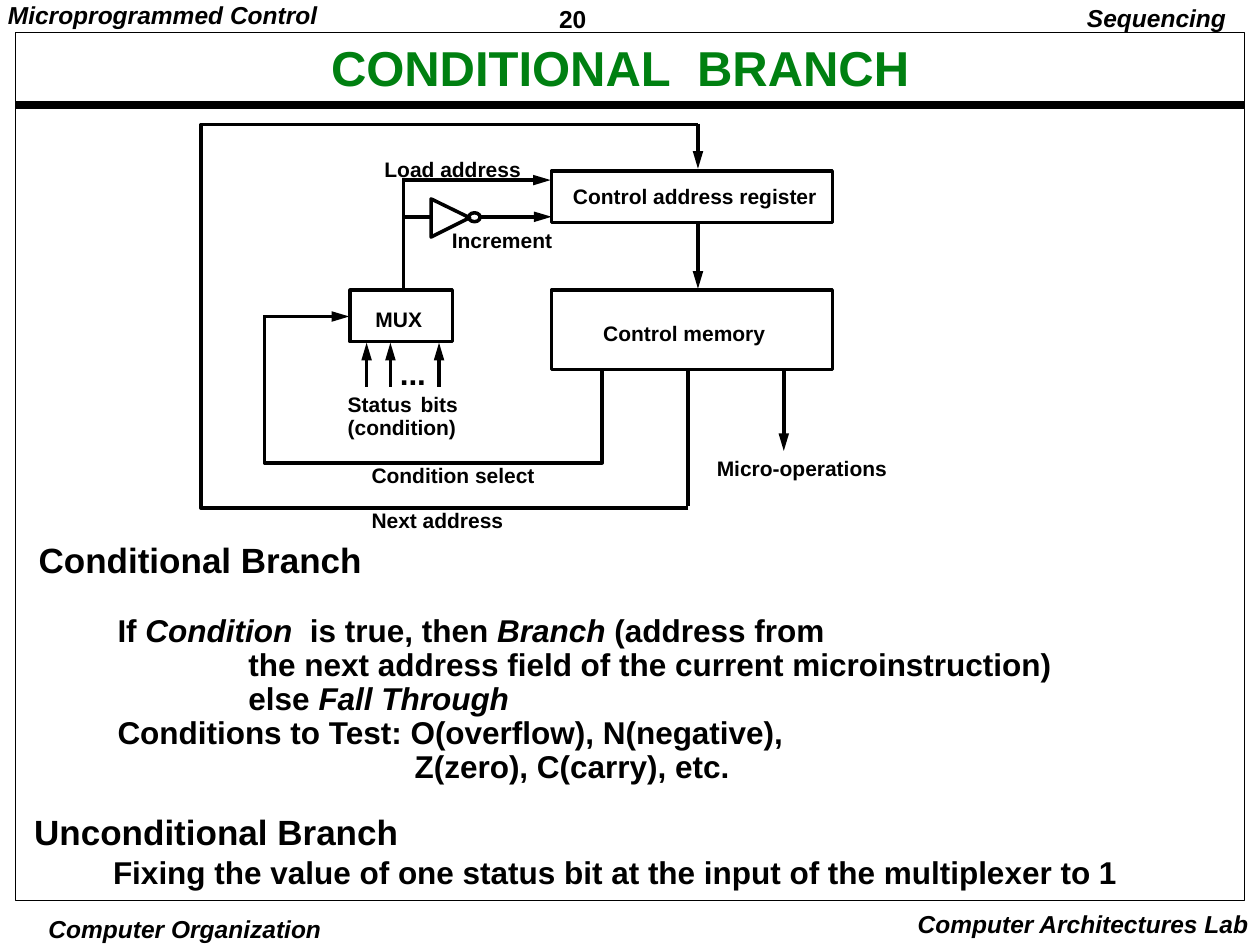
from dataclasses import dataclass

from lxml import etree
from pptx import Presentation
from pptx import util as u
from pptx.dml.color import RGBColor
from pptx.enum import shapes, text
from pptx.oxml.ns import qn


@dataclass(frozen=True)
class Theme:
    font: str = "Arial"
    ink: RGBColor = RGBColor(0, 0, 0)
    title_ink: RGBColor = RGBColor(0x00, 0x80, 0x11)
    title: int = 28
    heading: int = 20
    body: int = 18
    margin: int = 14
    label: int = 12
    wire: float = 2
    frame: float = 0.5
    rule: float = 4.5


@dataclass(frozen=True)
class Span:
    words: str
    italic: bool = False


@dataclass(frozen=True)
class Line:
    spans: tuple[Span, ...]
    size: float
    indent: float = 0
    before: float = 0


@dataclass(frozen=True)
class Block:
    """A text box: place and insets in centimetres, then its lines."""
    place: tuple[float, float, float, float]
    lines: tuple[Line, ...]
    inset: tuple[float, float] = (0.25, 0.13)
    spacing: float = 0.9
    align: text.PP_ALIGN = text.PP_ALIGN.LEFT
    wrap: bool = False


THEME = Theme()
LEFT, CENTER, RIGHT = text.PP_ALIGN.LEFT, text.PP_ALIGN.CENTER, text.PP_ALIGN.RIGHT


def plain(words: str, size: float, indent: float = 0, before: float = 0) -> Line:
    return Line((Span(words),), size, indent, before)


def label(words: str, left: float, top: float, width: float,
          height: float = 0.71, size: float = THEME.label) -> Block:
    lines = tuple(plain(part, size) for part in words.split("\n"))
    return Block((left, top, width, height), lines)


def margin_note(words: str, place: tuple, inset: tuple, spacing: float,
                align: text.PP_ALIGN = LEFT, italic: bool = True) -> Block:
    return Block(place, (Line((Span(words, italic),), THEME.margin),), inset, spacing, align)


MARGIN_NOTES = (
    margin_note("20", (11.09, 0, 2.74, 0.74), (0.18, 0.08), 1.01, italic=False),
    margin_note("Microprogrammed Control", (-0.02, -0.01, 6.6, 0.69), (0.18, 0.08), 0.9),
    margin_note("Computer Organization", (0.91, 18.39, 5.64, 0.66), (0.08, 0.03), 1.0, CENTER),
    margin_note("Computer Architectures Lab", (18.23, 18.2, 7.19, 0.84), (0.25, 0.13), 1.0, RIGHT),
    margin_note("Sequencing", (21.67, 0, 3.3, 0.79), (0.25, 0.13), 0.9, RIGHT),
)

STEP, DEEP, LIST = 1.59, 4.23, 7.58  # indents of the explanation
EXPLANATIONS = (
    Block((0.53, 10.82, 23.14, 5.13), (
        plain("Conditional Branch", THEME.heading),
        Line((Span("If "), Span("Condition", True), Span("  is true, then "),
              Span("Branch ", True), Span("(address from")), THEME.body, STEP, 19.4),
        plain("the next address field of the current microinstruction)", THEME.body, DEEP),
        Line((Span("else "), Span("Fall Through", True)), THEME.body, DEEP),
        plain("Conditions to Test: O(overflow), N(negative),", THEME.body, STEP),
        plain("Z(zero), C(carry), etc.", THEME.body, LIST),
    ), wrap=True),
    Block((0.51, 16.26, 22.8, 1.78), (
        plain("Unconditional Branch", THEME.heading),
        plain("Fixing the value of one status bit at the input of the multiplexer to 1",
              THEME.body, STEP),
    ), (0.18, 0.08), 1.01, wrap=True),
)

LABELS = (
    label("Control address register", 11.3, 3.63, 5.41),
    label("Control memory", 11.91, 6.39, 3.78),
    label("MUX", 7.32, 6.1, 1.45),
    label("Load address", 7.5, 3.08, 3.25),
    label("Increment", 8.86, 4.52, 2.51),
    label("Status\n(condition)", 6.76, 7.82, 2.69, 1.17),
    label("bits", 8.23, 7.82, 1.24),
    label("Micro-operations", 14.2, 9.12, 3.94),
    label("Condition select", 7.24, 9.25, 3.78),
    label("Next address", 7.24, 10.16, 3.18),
    label("...", 7.81, 7.09, 1.04, 0.94, THEME.body),
)

UNITS = (  # address register, control memory, multiplexer
    (11.12, 3.45, 5.66, 1.04),
    (11.12, 5.85, 5.66, 1.6),
    (7.06, 5.85, 2.06, 1.04),
)
ARROWS = (
    (14.07, 4.5, 14.07, 5.82),
    (14.07, 2.49, 14.07, 3.4),
    (8.15, 3.63, 11.1, 3.63),
    (9.65, 4.37, 11.12, 4.37),
    (15.8, 7.44, 15.8, 9.09),
    (5.31, 6.38, 7.04, 6.38),
    *((x, 7.8, x, 6.91) for x in (7.39, 7.87, 8.85)),
)
WIRES = (
    (8.71, 4.37, 8.1, 4.37),
    (8.13, 3.58, 8.13, 5.82),
    (13.87, 7.44, 13.87, 10.21),
)
INVERTER = ((8.69, 4.01), (9.47, 4.39), (8.69, 4.78))
CONDITION_SELECT = ((12.14, 7.47), (12.14, 9.33), (5.33, 9.33), (5.33, 6.38))
NEXT_ADDRESS = ((13.88, 10.24), (4.05, 10.24), (4.05, 2.51), (14.07, 2.51))


def apply(target, values: dict) -> None:
    for name, value in values.items():
        setattr(target, name, value)


def fill_text(box, block: Block, color: RGBColor = THEME.ink,
              anchor: text.MSO_ANCHOR = text.MSO_ANCHOR.TOP) -> None:
    side, edge = (u.Cm(value) for value in block.inset)
    frame = box.text_frame
    apply(frame, dict(margin_left=side, margin_right=side, margin_top=edge, margin_bottom=edge,
                      word_wrap=block.wrap, vertical_anchor=anchor,
                      auto_size=text.MSO_AUTO_SIZE.NONE))
    for index, line in enumerate(block.lines):
        para = frame.add_paragraph() if index else frame.paragraphs[0]
        apply(para, dict(alignment=block.align, line_spacing=block.spacing,
                         space_before=u.Pt(line.before), space_after=u.Pt(0)))
        properties = para._p.get_or_add_pPr()
        properties.set("marL", str(u.Cm(line.indent)))
        properties.set("indent", "0")
        for span in line.spans:
            run = para.add_run()
            run.text = span.words
            apply(run.font, dict(name=THEME.font, size=u.Pt(line.size),
                                 bold=True, italic=span.italic))
            run.font.color.rgb = color


def add_text(page, block: Block) -> None:
    fill_text(page.shapes.add_textbox(*map(u.Cm, block.place)), block)


def outline(shape, width: float = THEME.wire) -> None:
    shape.shadow.inherit = False
    shape.fill.background()
    shape.line.color.rgb = THEME.ink
    shape.line.width = u.Pt(width)


def add_outline(page, kind, place: tuple, width: float = THEME.wire) -> None:
    outline(page.shapes.add_shape(kind, *map(u.Cm, place)), width)


def add_path(page, points: tuple, close: bool = False) -> None:
    start, *rest = [tuple(map(u.Cm, point)) for point in points]
    builder = page.shapes.build_freeform(*start)
    builder.add_line_segments(rest, close=close)
    outline(builder.convert_to_shape())


def add_wire(page, ends: tuple, width: float = THEME.wire, arrow: bool = False) -> None:
    wire = page.shapes.add_connector(shapes.MSO_CONNECTOR.STRAIGHT, *map(u.Cm, ends))
    wire.line.color.rgb = THEME.ink
    wire.line.width = u.Pt(width)
    if arrow:
        etree.SubElement(wire.line._get_or_add_ln(), qn("a:tailEnd"),
                         type="triangle", w="med", len="lg")
    etree.SubElement(wire._element.spPr, qn("a:effectLst"))


def main() -> None:
    deck = Presentation()
    deck.slide_width, deck.slide_height = u.Cm(25.4), u.Cm(19.05)
    page = deck.slides.add_slide(deck.slide_layouts[5])
    rectangle = shapes.MSO_SHAPE.RECTANGLE

    add_wire(page, (0.32, 2.11, 25.08, 2.11), THEME.rule)
    add_outline(page, rectangle, (0.32, 0.66, 24.76, 17.5), THEME.frame)

    heading = Block((2.24, 0.81, 20.52, 1.22), (plain("CONDITIONAL  BRANCH", THEME.title),),
                    (0.18, 0.08), align=CENTER, wrap=True)
    title = page.shapes.title
    apply(title, dict(zip(("left", "top", "width", "height"), map(u.Cm, heading.place))))
    fill_text(title, heading, THEME.title_ink, text.MSO_ANCHOR.MIDDLE)

    for unit in UNITS:
        add_outline(page, rectangle, unit)
    for ends in ARROWS:
        add_wire(page, ends, arrow=True)
    for ends in WIRES:
        add_wire(page, ends)
    add_path(page, INVERTER, close=True)
    add_path(page, CONDITION_SELECT)
    add_path(page, NEXT_ADDRESS)
    add_outline(page, shapes.MSO_SHAPE.OVAL, (9.45, 4.29, 0.23, 0.18))
    for block in MARGIN_NOTES + EXPLANATIONS + LABELS:
        add_text(page, block)
    deck.save("out.pptx")


if __name__ == "__main__":
    main()
